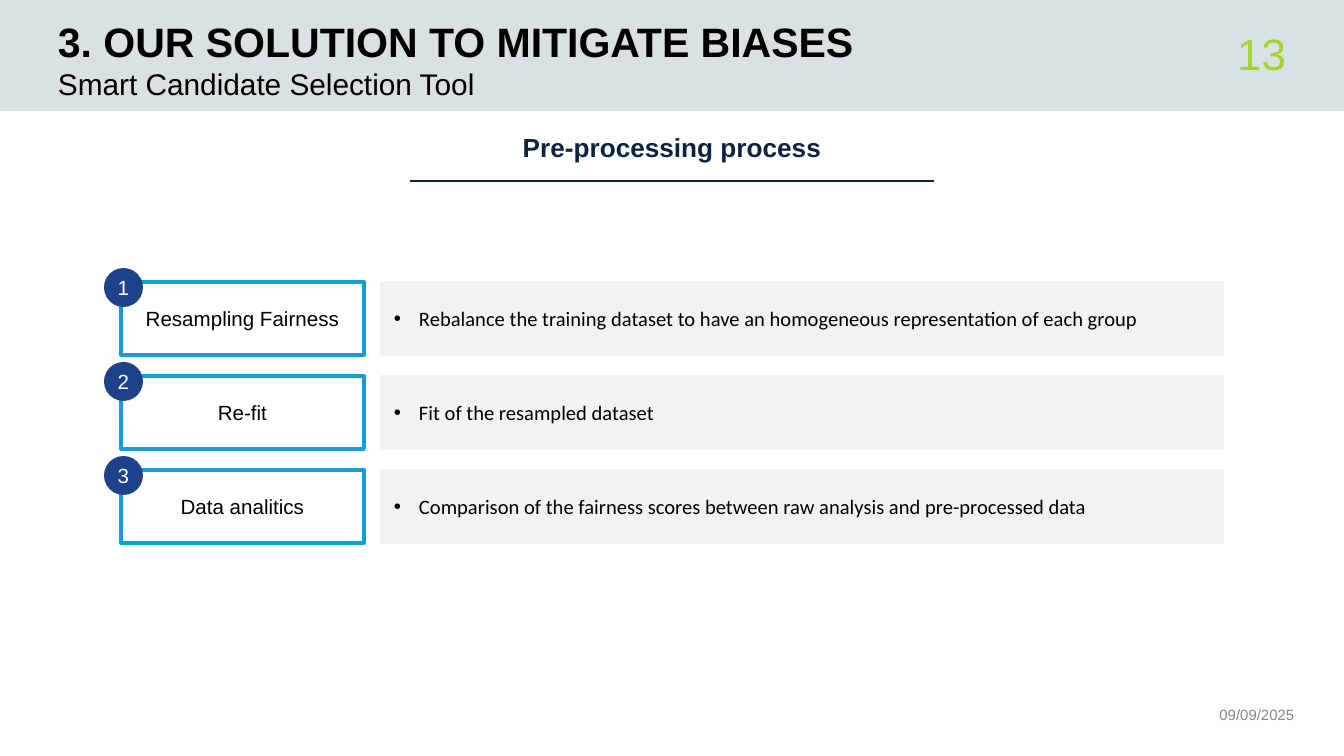
from lxml.etree import SubElement
from pptx import Presentation
from pptx.dml.color import RGBColor
from pptx.enum.shapes import MSO_CONNECTOR, MSO_SHAPE
from pptx.enum.text import MSO_ANCHOR, PP_ALIGN
from pptx.oxml.ns import qn
from pptx.util import Pt

EMU_PER_PX = 914400 / 134.4
COLORS = {
    "band": "D9E1E2",
    "text": "000000",
    "date": "878787",
    "number": "A4D233",
    "navy": "0C2340",
    "badge": "1D4289",
    "outline": "0F9ED5",
    "panel": "F2F2F2",
    "white": "FFFFFF",
}
STEPS = [
    ("Resampling Fairness",
     "Rebalance the training dataset to have an homogeneous representation of each group"),
    ("Re-fit", "Fit of the resampled dataset"),
    ("Data analitics",
     "Comparison of the fairness scores between raw analysis and pre-processed data"),
]


def px(length):
    """Turn pixels into EMU."""
    return round(length * EMU_PER_PX)


def color(name):
    """Look up a named colour."""
    return RGBColor.from_string(COLORS[name])


def write(shape, text, size, ink="text", font="Arial", bold=False,
          align=PP_ALIGN.LEFT, anchor=MSO_ANCHOR.MIDDLE, inset=(0, 0)):
    """Put one formatted paragraph in a shape and return it."""
    frame = shape.text_frame
    frame.word_wrap = True
    frame.vertical_anchor = anchor
    frame.margin_left = frame.margin_right = px(inset[0])
    frame.margin_top = frame.margin_bottom = px(inset[1])
    frame.text = text
    paragraph = frame.paragraphs[0]
    paragraph.alignment = align
    run_font = paragraph.runs[0].font
    run_font.name, run_font.size, run_font.bold = font, Pt(size), bold
    run_font.color.rgb = color(ink)
    return paragraph


def add_text(slide, box, text, size, **style):
    """Add a text box."""
    shape = slide.shapes.add_textbox(*map(px, box))
    write(shape, text, size, **style)


def add_block(slide, kind, box, fill=None, line=None, width=1.5):
    """Add a flat preset shape and return it."""
    shape = slide.shapes.add_shape(kind, *map(px, box))
    shape.shadow.inherit = False
    if fill:
        shape.fill.solid()
        shape.fill.fore_color.rgb = color(fill)
    else:
        shape.fill.background()
    if line:
        shape.line.color.rgb = color(line)
        shape.line.width = Pt(width)
    else:
        shape.line.fill.background()
    return shape


def add_bullet(paragraph, indent):
    """Give a paragraph a hanging bullet."""
    properties = paragraph._p.get_or_add_pPr()
    properties.set("marL", str(px(indent)))
    properties.set("indent", str(-px(indent)))
    SubElement(properties, qn("a:buFont"), typeface="Arial")
    SubElement(properties, qn("a:buChar"), char="•")


def add_header(slide, left, top, width, height):
    """Add the title band with subtitle and page number."""
    add_block(slide, MSO_SHAPE.RECTANGLE, (left, top, width, height), "band")
    add_text(slide, (left + 58, top, 1063, 66), "3. OUR SOLUTION TO MITIGATE BIASES",
             22, bold=True, anchor=MSO_ANCHOR.BOTTOM)
    add_text(slide, (left + 58, top + 66, 1063, 40), "Smart Candidate Selection Tool",
             16, anchor=MSO_ANCHOR.TOP)
    add_text(slide, (left + width - 223, top + 31, 165, 44), "13", 23.5,
             ink="number", align=PP_ALIGN.RIGHT)


def add_heading(slide, left, top, width, height):
    """Add the section heading and its underline."""
    add_text(slide, (left, top, width, height), "Pre-processing process", 14,
             ink="navy", bold=True, align=PP_ALIGN.CENTER, inset=(13, 7))
    bottom = top + height
    line = slide.shapes.add_connector(
        MSO_CONNECTOR.STRAIGHT, *map(px, (left, bottom, left + width, bottom)))
    line.line.color.rgb = color("navy")
    line.line.width = Pt(0.75)
    SubElement(line._element.spPr, qn("a:effectLst"))


def add_step(slide, left, top, width, height, number, label, detail):
    """Add one numbered step: label, detail panel and badge."""
    label_width, panel_offset, badge_size = 243, 260, 39
    panel = add_block(slide, MSO_SHAPE.RECTANGLE,
                      (left + panel_offset, top, width - panel_offset, height),
                      "panel", "panel")
    paragraph = write(panel, detail, 11, font="Calibri", inset=(13, 7))
    add_bullet(paragraph, 25)
    label_box = add_block(slide, MSO_SHAPE.RECTANGLE, (left, top, label_width, height),
                          line="outline", width=2)
    write(label_box, label, 11, align=PP_ALIGN.CENTER, inset=(13, 7))
    badge = add_block(slide, MSO_SHAPE.OVAL,
                      (left - 17, top - 14, badge_size, badge_size), "badge")
    write(badge, str(number), 11, ink="white", align=PP_ALIGN.CENTER)


def add_steps(slide, left, top, width, height):
    """Stack the steps evenly in the box."""
    gap = 21
    row_height = (height - gap * (len(STEPS) - 1)) // len(STEPS)
    for index, (label, detail) in enumerate(STEPS):
        row_top = top + index * (row_height + gap)
        add_step(slide, left, row_top, width, row_height, index + 1, label, detail)


def add_footer(slide, left, top, width, height):
    """Add the date."""
    add_text(slide, (left, top, width, height), "09/09/2025", 8, ink="date",
             align=PP_ALIGN.CENTER, anchor=MSO_ANCHOR.BOTTOM)


def main():
    """Build and save the slide."""
    presentation = Presentation()
    presentation.slide_width, presentation.slide_height = px(1344), px(756)
    slide = presentation.slides.add_slide(presentation.slide_layouts[6])
    add_header(slide, 0, 0, 1344, 111)
    add_footer(slide, 1187, 680, 140, 44)
    add_steps(slide, 121, 282, 1102, 261)
    add_heading(slide, 410, 114, 524, 67)
    presentation.save("out.pptx")


if __name__ == "__main__":
    main()
